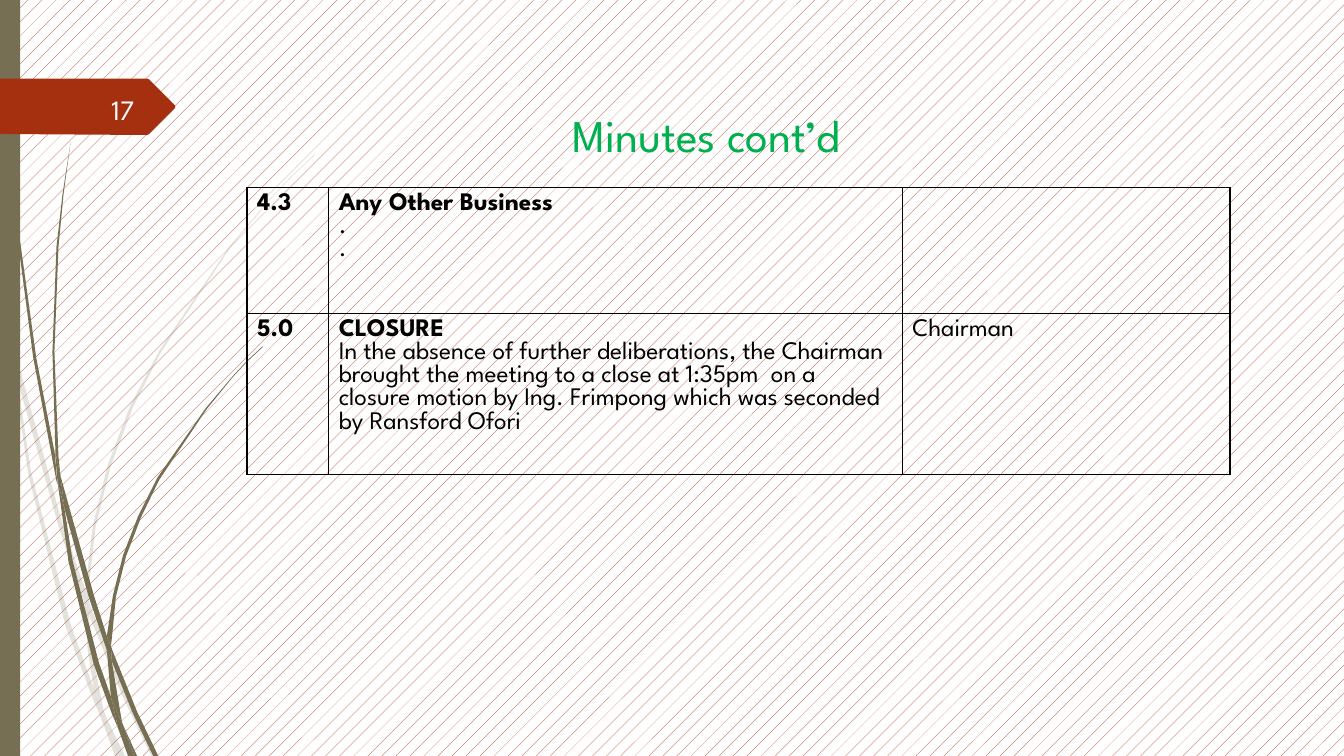
from lxml import etree
from pptx import Presentation
from pptx.dml.color import RGBColor
from pptx.enum.dml import MSO_PATTERN
from pptx.enum.shapes import MSO_SHAPE
from pptx.enum.text import MSO_ANCHOR, PP_ALIGN
from pptx.oxml.ns import qn
from pptx.util import Inches, Pt

RUST = RGBColor(0xA5, 0x30, 0x10)
OLIVE = RGBColor(0x76, 0x6F, 0x54)
GREEN = RGBColor(0x00, 0xB0, 0x50)
BLACK = RGBColor(0x00, 0x00, 0x00)
WHITE = RGBColor(0xFF, 0xFF, 0xFF)
OFF_WHITE = RGBColor(0xFE, 0xFF, 0xFF)
DOTTED = MSO_PATTERN.PERCENT_5
RECTANGLE = MSO_SHAPE.RECTANGLE
TOP, MIDDLE = MSO_ANCHOR.TOP, MSO_ANCHOR.MIDDLE
LEFT, CENTER, RIGHT = PP_ALIGN.LEFT, PP_ALIGN.CENTER, PP_ALIGN.RIGHT
FONT = "League Spartan"

PALE_STEMS = [
    [(0.11, 3.5), (0.09, 3.22), (0, 2.82), (0, 2.99), (0.1, 3.44)],
    [(0.58, 5.22), (0.84, 5.99), (0.85, 5.86), (0.62, 5.2), (0.14, 3.45), (0.17, 3.76)],
    [(0.92, 6.07), (0.88, 5.96), (0.88, 6.1), (1.23, 6.94), (1.5, 7.5), (1.55, 7.5),
     (1.27, 6.92)],
    [(1.19, 7.5), (1.24, 7.5), (1.05, 7.11)],
    [(0.93, 6.83), (0.7, 6.19), (0.31, 4.69), (0.17, 3.76), (0.11, 3.5), (0.28, 4.7),
     (0.65, 6.21), (0.92, 6.93), (1.01, 7.14), (0.99, 7.07)],
    [(0.84, 5.99), (0.87, 6.46), (0.93, 6.83), (0.96, 6.92), (1.05, 7.11), (1.03, 7.06),
     (0.91, 6.46), (0.88, 6.1), (0.88, 6.08)],
    [(0.88, 5.84), (0.95, 5.22), (1.1, 4.62), (1.32, 4.04), (1.6, 3.49), (2.29, 2.45),
     (2.68, 1.98), (2.9, 1.75), (3.12, 1.54), (3.12, 1.53), (2.89, 1.75), (2.68, 1.97),
     (2.28, 2.44), (1.58, 3.48), (1.29, 4.03), (1.07, 4.61), (0.92, 5.22), (0.85, 5.84),
     (0.85, 5.86), (0.88, 5.96)],
    [(1.01, 7.14), (1.14, 7.5), (1.19, 7.5)],
    [(0.88, 6.08), (0.88, 6.1), (0.88, 5.96), (0.85, 5.86), (0.84, 5.99)],
    [(0.96, 6.92), (0.93, 6.83), (0.99, 7.07), (1.01, 7.14), (1.19, 7.5), (1.05, 7.11)],
]
DARK_STEMS = [
    [(0.07, 1.1), (0.17, 2.33), (0.33, 3.55), (0.56, 4.77), (0.57, 4.81), (0.55, 4.57),
     (0.55, 4.53), (0.36, 3.55), (0.19, 2.32), (0.08, 1.09), (0.05, 0.48), (0.04, 0),
     (0.03, 0), (0.04, 0.48)],
    [(0.88, 5.92), (1.06, 6.45), (1.06, 6.31), (0.93, 5.9), (0.6, 4.72), (0.64, 5.05)],
    [(1.13, 6.49), (1.1, 6.41), (1.11, 6.56), (1.32, 7.08), (1.52, 7.5), (1.57, 7.5),
     (1.36, 7.06)],
    [(1.1, 6.91), (0.98, 6.57), (0.72, 5.56), (0.64, 5.05), (0.57, 4.77), (0.68, 5.57),
     (0.93, 6.59), (1.11, 7.08), (1.17, 7.22), (1.16, 7.17)],
    [(0.6, 4.72), (0.58, 4.53), (0.54, 3.49), (0.58, 2.45), (0.63, 1.93), (0.7, 1.41),
     (0.62, 1.93), (0.56, 2.45), (0.52, 3.49), (0.55, 4.49)],
    [(1.33, 7.5), (1.36, 7.5), (1.22, 7.19)],
    [(0.57, 4.77), (0.64, 5.05), (0.6, 4.72), (0.55, 4.49), (0.55, 4.53)],
    [(1.11, 6.33), (1.15, 5.92), (1.25, 5.52), (1.4, 5.13), (1.58, 4.76), (2.05, 4.06),
     (2.31, 3.74), (2.45, 3.59), (2.61, 3.44), (2.6, 3.44), (2.45, 3.58), (2.31, 3.73),
     (2.04, 4.05), (1.56, 4.74), (1.37, 5.12), (1.22, 5.51), (1.12, 5.91), (1.06, 6.31),
     (1.1, 6.41)],
    [(1.17, 7.22), (1.27, 7.5), (1.31, 7.5)],
    [(1.06, 6.45), (1.1, 6.91), (1.16, 7.06), (1.22, 7.19), (1.21, 7.16), (1.11, 6.56),
     (1.09, 6.51)],
    [(1.06, 6.45), (1.09, 6.51), (1.11, 6.56), (1.1, 6.41), (1.06, 6.31)],
    [(1.16, 7.06), (1.1, 6.91), (1.16, 7.17), (1.17, 7.22), (1.3, 7.5), (1.33, 7.5),
     (1.22, 7.19)],
]
NUMBER_TAG = [(0, 0.78), (1.46, 0.78), (1.48, 0.79), (1.73, 1.04), (1.74, 1.06),
              (1.73, 1.08), (1.48, 1.33), (1.46, 1.34), (0, 1.33)]

COLUMN_WIDTHS = [0.81, 5.69, 3.25]
ROW_HEIGHT = 1.25
MINUTES = [
    [[("4.3", True)], [("Any Other Business", True), (".", False), (".", False)], []],
    [[("5.0", True)],
     [("CLOSURE", True),
      ("In the absence of further deliberations, the Chairman brought the meeting to a "
       "close at 1:35pm  on a closure motion by Ing. Frimpong which was seconded by "
       "Ransford Ofori", False)],
     [("Chairman", False)]],
]


def paint(shape, color, opacity=100):
    shape.shadow.inherit = False
    shape.fill.solid()
    shape.fill.fore_color.rgb = color
    shape.line.fill.background()
    if opacity < 100:
        tint = shape._element.spPr.find(qn("a:solidFill"))[0]
        etree.SubElement(tint, qn("a:alpha"), val=str(opacity * 1000))


def add_outline(shapes, points, color, opacity=100):
    corners = [(Inches(x), Inches(y)) for x, y in points]
    builder = shapes.build_freeform(*corners[0])
    builder.add_line_segments(corners[1:], close=True)
    paint(builder.convert_to_shape(), color, opacity)


def add_stems(slide, stems, opacity=100):
    plant = slide.shapes.add_group_shape()
    for points in stems:
        add_outline(plant.shapes, points, OLIVE, opacity)


def write(paragraph, text, size, color, bold=False, align=LEFT):
    paragraph.alignment = align
    run = paragraph.add_run()
    run.text = text
    for name, value in {"name": FONT, "size": Pt(size), "bold": bold}.items():
        setattr(run.font, name, value)
    run.font.color.rgb = color


def add_label(slide, box, text, size, color, align, anchor, margin_top):
    frame = slide.shapes.add_textbox(*map(Inches, box)).text_frame
    layout = {"word_wrap": True, "vertical_anchor": anchor,
              "margin_top": Inches(margin_top)}
    for name, value in layout.items():
        setattr(frame, name, value)
    write(frame.paragraphs[0], text, size, color, align=align)


def add_borders(cell):
    properties = cell._tc.get_or_add_tcPr()
    for position, side in enumerate(("lnL", "lnR", "lnT", "lnB")):
        border = etree.Element(qn(f"a:{side}"), w=str(Pt(1)))
        fill = etree.SubElement(border, qn("a:solidFill"))
        etree.SubElement(fill, qn("a:srgbClr"), val=str(BLACK))
        properties.insert(position, border)


def add_minutes(slide):
    size = (sum(COLUMN_WIDTHS), ROW_HEIGHT * len(MINUTES))
    table = slide.shapes.add_table(
        len(MINUTES), len(COLUMN_WIDTHS), Inches(2.45), Inches(1.86),
        *map(Inches, size)).table
    table.first_row = table.horz_banding = False
    for column, width in zip(table.columns, COLUMN_WIDTHS):
        column.width = Inches(width)
    for row, entries in enumerate(MINUTES):
        for column, lines in enumerate(entries):
            cell = table.cell(row, column)
            cell.fill.background()
            add_borders(cell)
            frame = cell.text_frame
            for index, (text, bold) in enumerate(lines):
                paragraph = frame.add_paragraph() if index else frame.paragraphs[0]
                write(paragraph, text, 18, BLACK, bold)


def main():
    deck = Presentation()
    deck.slide_width, deck.slide_height = Inches(13.33), Inches(7.5)
    slide = deck.slides.add_slide(deck.slide_layouts[6])
    backdrop = slide.background.fill
    backdrop.patterned()
    backdrop.pattern = DOTTED
    backdrop.fore_color.rgb = RUST
    backdrop.back_color.rgb = WHITE

    add_stems(slide, PALE_STEMS, opacity=20)
    add_stems(slide, DARK_STEMS)
    side_bar = slide.shapes.add_shape(RECTANGLE, 0, 0, Inches(0.2), Inches(7.5))
    paint(side_bar, OLIVE)
    add_outline(slide.shapes, NUMBER_TAG, RUST)
    add_label(slide, (2.13, 0.86, 9.75, 0.6), "Minutes cont’d", 32.4, GREEN,
              CENTER, TOP, 0.2)
    add_minutes(slide)
    add_label(slide, (0.58, 0.86, 0.85, 0.4), "17", 20, OFF_WHITE, RIGHT, MIDDLE, 0.1)
    deck.save("out.pptx")


if __name__ == "__main__":
    main()
